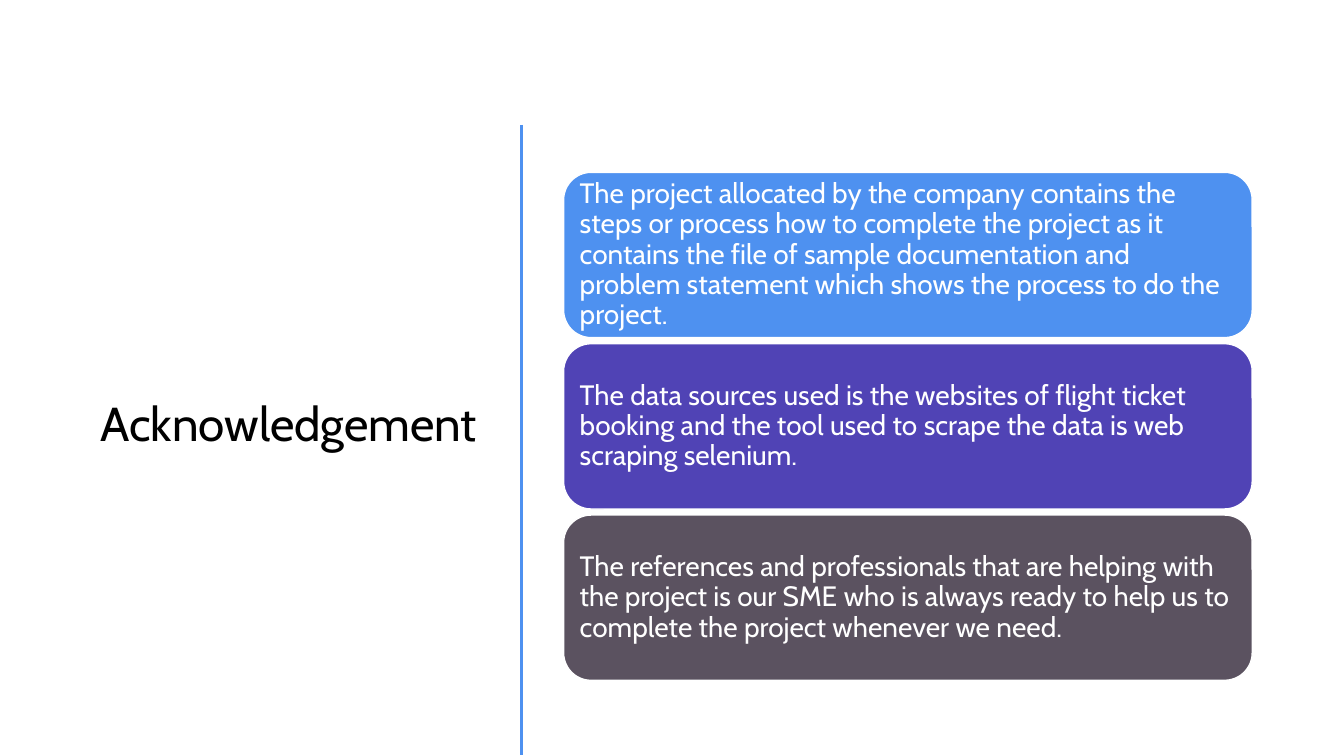
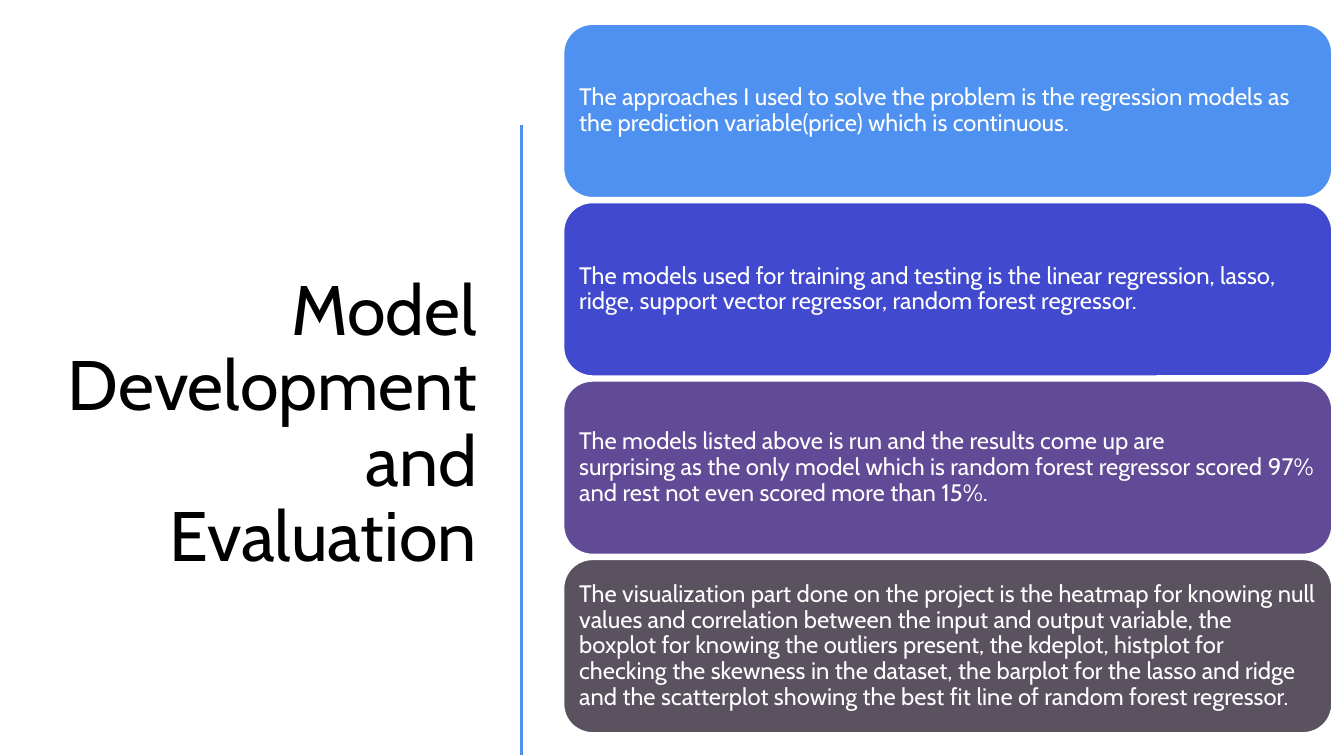
"""Build two slides, each with a title, a rule and a stack of cards."""
from lxml.etree import SubElement
from pptx import Presentation
from pptx.dml.color import RGBColor
from pptx.enum.shapes import MSO_CONNECTOR, MSO_SHAPE
from pptx.enum.text import MSO_ANCHOR, PP_ALIGN
from pptx.oxml.ns import qn
from pptx.util import Inches, Pt

BLUE = RGBColor(0x4E, 0x91, 0xF0)
VIOLET = RGBColor(0x50, 0x43, 0xB5)
INDIGO = RGBColor(0x41, 0x4A, 0xCE)
PURPLE = RGBColor(0x61, 0x4B, 0x96)
GREY = RGBColor(0x5B, 0x52, 0x60)
WHITE = RGBColor(0xFF, 0xFF, 0xFF)
BLACK = RGBColor(0, 0, 0)
FONT = "Cabin"

SLIDES = [
    {
        "title": "Acknowledgement", "title_size": 34, "size": 20,
        "top": 1.71, "width": 6.83, "height": 1.64, "step": 1.7, "inset": 0.08,
        "cards": [
            (BLUE, "The project allocated by the company contains the steps or "
             "process how to complete the project as it contains the file of "
             "sample documentation\u00a0and problem statement which shows the "
             "process to do the project."),
            (VIOLET, "The\u00a0data sources used is the websites of flight "
             "ticket booking\u00a0and the tool used to\u00a0scrape the data is "
             "web scraping selenium."),
            (GREY, "The\u00a0references and professionals that are "
             "helping\u00a0with the project is our SME\u00a0who\u00a0is always "
             "ready to help us to complete the project whenever we need."),
        ],
    },
    {
        "title": "Model Development and Evaluation", "title_size": 50, "size": 17,
        "top": 0.24, "width": 7.62, "height": 1.72, "step": 1.77, "inset": 0.07,
        "cards": [
            (BLUE, "The approaches I used to solve the problem is the regression "
             "models as the prediction variable(price) which is "
             "continuous.\u00a0"),
            (INDIGO, "The models\u00a0used for training and testing is "
             "the\u00a0linear\u00a0regression, lasso, ridge,\u00a0support vector "
             "regressor, random forest regressor."),
            (PURPLE, "The\u00a0models\u00a0listed above is run and the results "
             "come up are surprising\u00a0as\u00a0the only model which is random "
             "forest regressor scored\u00a097% and rest not even scored more "
             "than 15%."),
            (GREY, "The visualization part done on the\u00a0project\u00a0is the "
             "heatmap for knowing\u00a0null values and correlation between the "
             "input and output variable, the boxplot\u00a0for knowing the "
             "outliers present, the kdeplot, histplot for checking\u00a0the "
             "skewness\u00a0in the dataset,\u00a0the barplot for the\u00a0lasso "
             "and ridge and the\u00a0scatterplot showing the best "
             "fit\u00a0line\u00a0of random forest regressor."),
        ],
    },
]


def style(item, form):
    for name, value in form.items():
        setattr(item, name, value)


def write(shape, text, size, color, align, inset):
    frame = shape.text_frame
    style(frame, {"word_wrap": True, "vertical_anchor": MSO_ANCHOR.MIDDLE,
                  **{f"margin_{side}": Inches(inset)
                     for side in ("left", "right", "top", "bottom")}})
    para = frame.paragraphs[0]
    style(para, {"alignment": align, "line_spacing": 0.9})
    run = para.add_run()
    run.text = text
    style(run.font, {"name": FONT, "size": Pt(size)})
    run.font.color.rgb = color


def add_head(slide, text, size):
    box = slide.shapes.add_textbox(
        Inches(0.52), Inches(1.17), Inches(4.31), Inches(6.11))
    write(box, text, size, BLACK, PP_ALIGN.RIGHT, 0.1)
    rule = slide.shapes.add_connector(
        MSO_CONNECTOR.STRAIGHT, Inches(5.17), Inches(1.24),
        Inches(5.17), Inches(7.49))
    rule.line.color.rgb = BLUE
    rule.line.width = Pt(2)
    SubElement(rule._element.spPr, qn("a:effectLst"))


def add_cards(slide, page):
    for row, (color, text) in enumerate(page["cards"]):
        card = slide.shapes.add_shape(
            MSO_SHAPE.ROUNDED_RECTANGLE, Inches(5.59),
            Inches(page["top"] + row * page["step"]),
            Inches(page["width"]), Inches(page["height"]))
        card.shadow.inherit = False
        card.fill.solid()
        card.fill.fore_color.rgb = color
        card.line.color.rgb = WHITE
        card.line.width = Pt(1)
        write(card, text, page["size"], WHITE, PP_ALIGN.LEFT, page["inset"])


deck = Presentation()
style(deck, {"slide_width": Inches(13.33), "slide_height": Inches(7.5)})
for page in SLIDES:
    slide = deck.slides.add_slide(deck.slide_layouts[6])
    add_head(slide, page["title"], page["title_size"])
    add_cards(slide, page)
deck.save("out.pptx")
